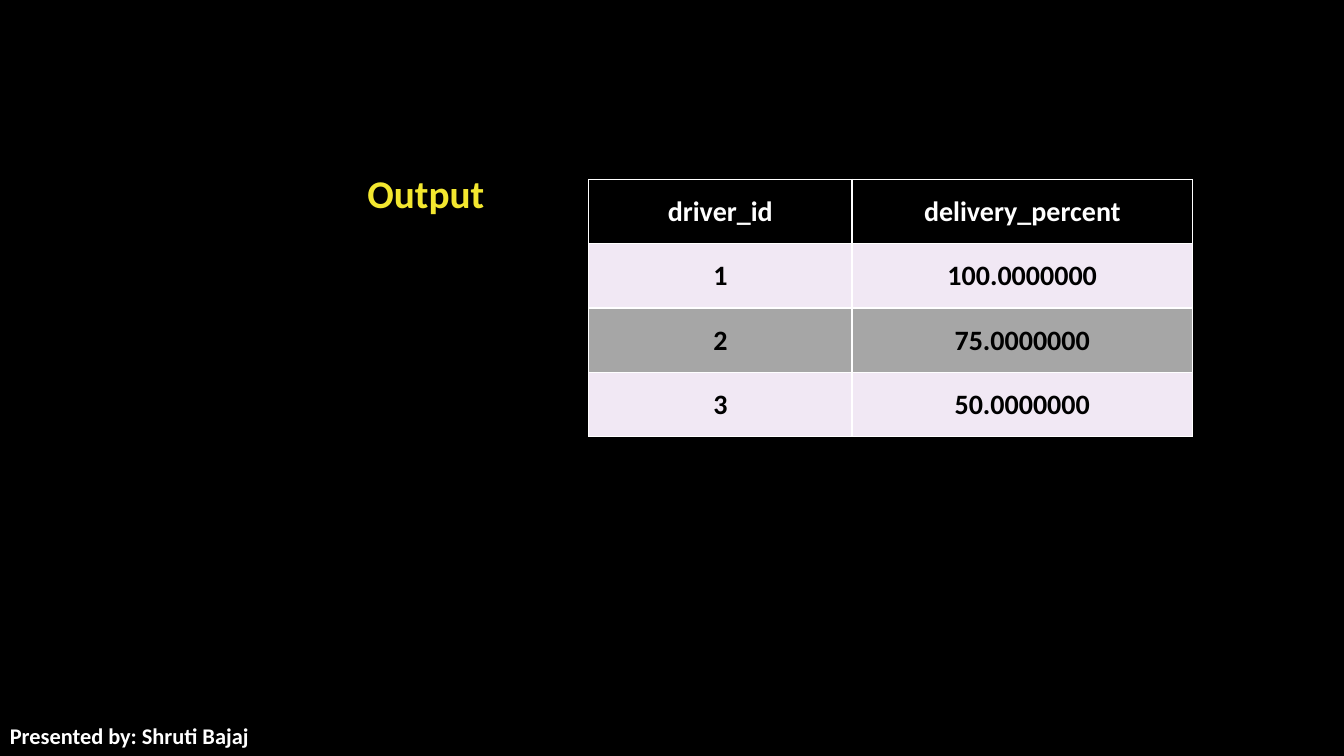
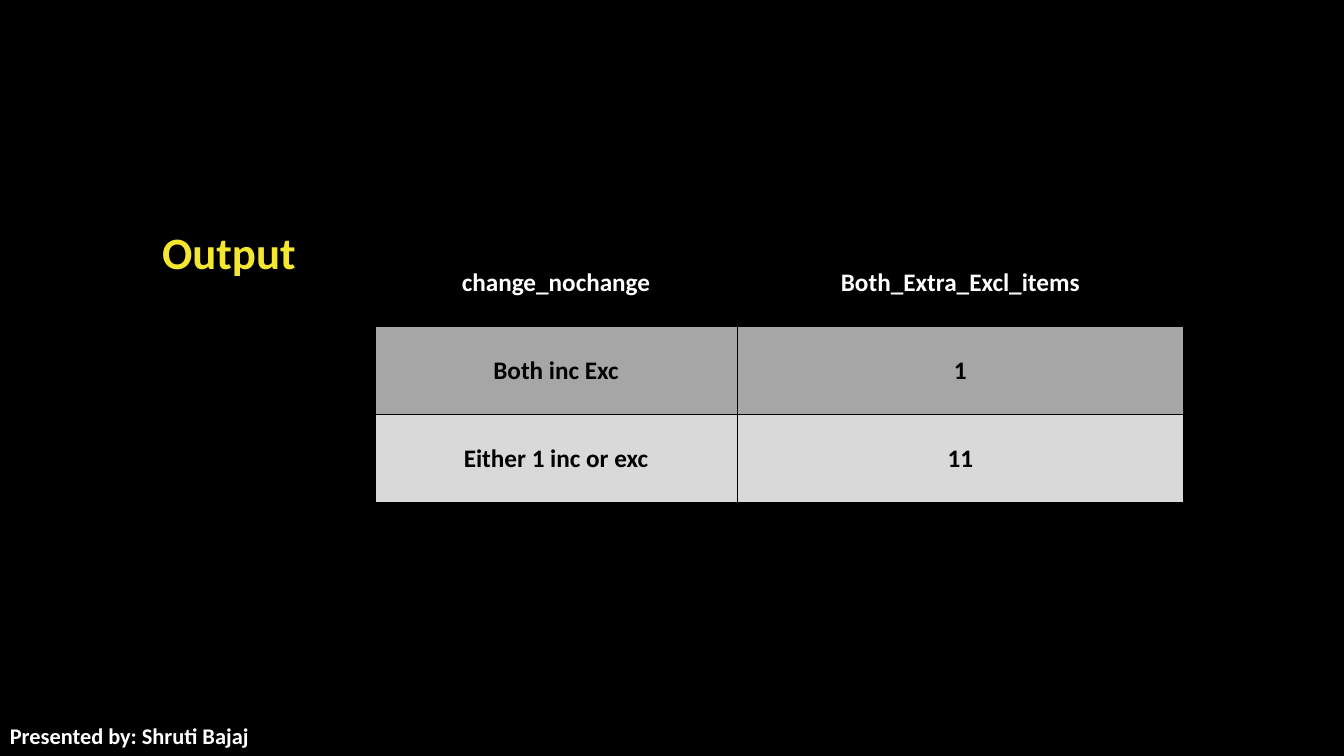
from dataclasses import dataclass

from lxml import etree
from pptx import Presentation
from pptx import util as u
from pptx.dml.color import RGBColor
from pptx.enum import text
from pptx.oxml import ns


@dataclass(frozen=True)
class Theme:
    font: str = "Calibri"
    black: str = "000000"
    white: str = "FFFFFF"
    title: str = "F3E72F"
    lilac: str = "F1E8F4"
    grey: str = "A6A6A6"
    pale_grey: str = "D9D9D9"
    title_size: int = 28
    large_title_size: int = 32
    header_size: int = 20
    small_header_size: int = 18
    footer_size: int = 16


THEME = Theme()
LEFT, CENTER, RIGHT = (text.PP_ALIGN.LEFT, text.PP_ALIGN.CENTER,
                       text.PP_ALIGN.RIGHT)


class Deck:
    """Holds the style and the current slide; lengths are percent of the slide."""

    def __init__(self, theme):
        self.theme = theme
        self.prs = Presentation()
        self.prs.slide_width = u.Inches(13.33)
        self.prs.slide_height = u.Inches(7.5)
        self.slide = None

    def across(self, share):
        return round(self.prs.slide_width * share / 100)

    def down(self, share):
        return round(self.prs.slide_height * share / 100)

    def new_slide(self):
        self.slide = self.prs.slides.add_slide(self.prs.slide_layouts[6])
        background = self.slide.background.fill
        background.solid()
        background.fore_color.rgb = RGBColor.from_string(self.theme.black)
        self.footer()

    def add_words(self, frame, words, size, color, align):
        paragraph = frame.paragraphs[0]
        paragraph.alignment = align
        run = paragraph.add_run()
        run.text = words
        run.font.name = self.theme.font
        run.font.size = u.Pt(size)
        run.font.bold = True
        run.font.color.rgb = RGBColor.from_string(color)

    def label(self, words, left, top, width, height, size, color, align=LEFT):
        frame = self.slide.shapes.add_textbox(
            self.across(left), self.down(top),
            self.across(width), self.down(height)).text_frame
        frame.word_wrap = True
        frame.vertical_anchor = text.MSO_ANCHOR.MIDDLE
        self.add_words(frame, words, size, color, align)

    def title(self, left, top, width, size, align=LEFT):
        self.label("Output", left, top, width, 11.73, size,
                   self.theme.title, align)

    def footer(self):
        self.label("Presented by: Shruti Bajaj", 0, 94.53, 64.22, 5.47,
                   self.theme.footer_size, self.theme.white)

    def border(self, cell, color, points):
        properties = cell._tc.get_or_add_tcPr()
        for position, side in enumerate(("lnL", "lnR", "lnT", "lnB")):
            line = etree.Element(ns.qn(f"a:{side}"), w=str(u.Pt(points)))
            fill = etree.SubElement(line, ns.qn("a:solidFill"))
            etree.SubElement(fill, ns.qn("a:srgbClr"), val=color)
            properties.insert(position, line)

    def table(self, left, top, columns, row_height, rows, bands, size,
              line_color, line_width):
        """The first row is the header; the others take the bands in turn."""
        table = self.slide.shapes.add_table(
            len(rows), len(columns), self.across(left), self.down(top),
            self.across(sum(columns)),
            self.down(row_height * len(rows))).table
        for column, width in zip(table.columns, columns):
            column.width = self.across(width)
        for r, values in enumerate(rows):
            table.rows[r].height = self.down(row_height)
            band = bands[(r - 1) % len(bands)] if r else self.theme.black
            ink = self.theme.black if r else self.theme.white
            for c, value in enumerate(values):
                cell = table.cell(r, c)
                cell.fill.solid()
                cell.fill.fore_color.rgb = RGBColor.from_string(band)
                cell.vertical_anchor = text.MSO_ANCHOR.MIDDLE
                cell.margin_left = cell.margin_right = u.Inches(0.01)
                cell.margin_top, cell.margin_bottom = u.Inches(0.01), 0
                self.add_words(cell.text_frame, value, size, ink, CENTER)
                self.border(cell, line_color, line_width)


def main():
    deck = Deck(THEME)

    # Delivery share per driver
    deck.new_slide()
    deck.title(12.08, 19.6, 24.68, THEME.title_size, RIGHT)
    deliveries = [("driver_id", "delivery_percent"),
                  ("1", "100.0000000"),
                  ("2", "75.0000000"),
                  ("3", "50.0000000")]
    deck.table(43.81, 23.73, (19.58, 25.36), 8.5, deliveries,
               (THEME.lilac, THEME.grey), THEME.header_size, THEME.white, 1)

    # Orders with extras and exclusions
    deck.new_slide()
    deck.title(11.33, 27.47, 12.38, THEME.large_title_size)
    changes = [("change_nochange", "Both_Extra_Excl_items"),
               ("Both inc Exc", "1"),
               ("Either 1 inc or exc", "11")]
    deck.table(27.91, 31.6, (26.93, 33.23), 11.6, changes,
               (THEME.grey, THEME.pale_grey), THEME.small_header_size,
               THEME.black, 0.5)

    deck.prs.save("out.pptx")


if __name__ == "__main__":
    main()
